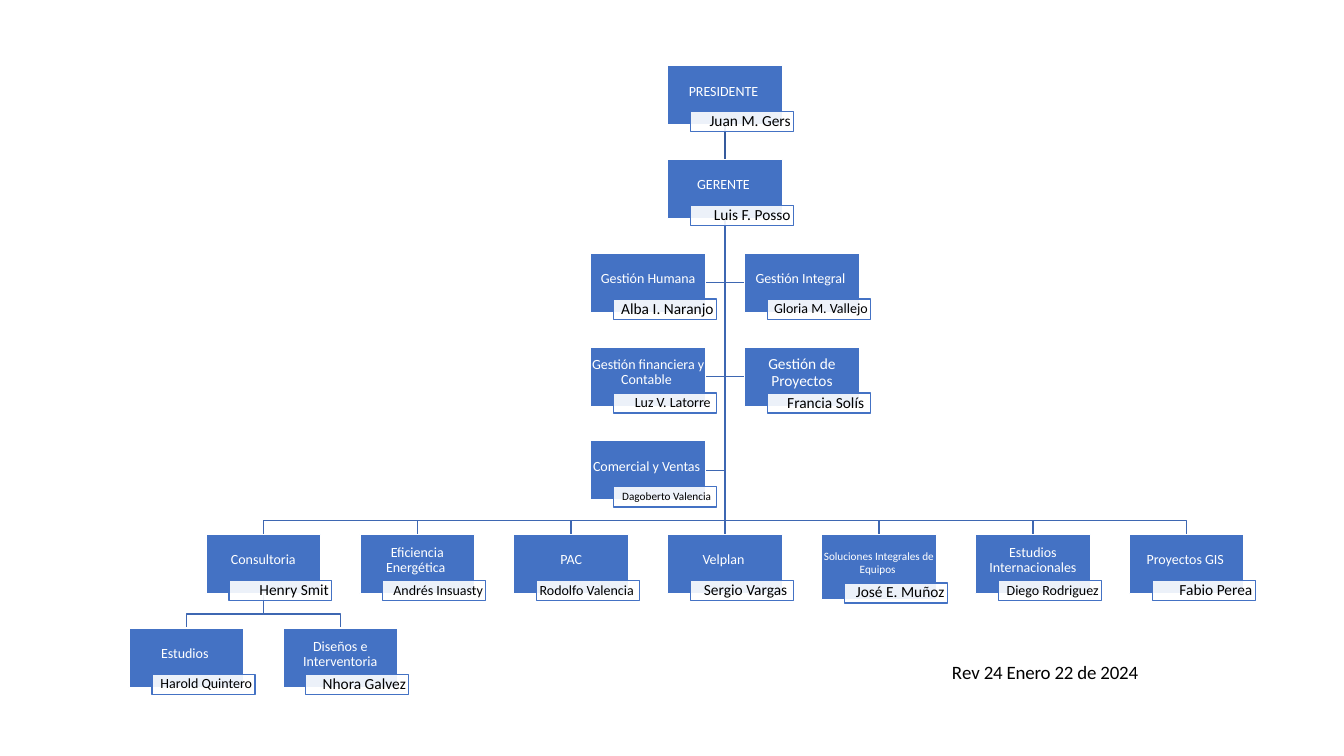
from lxml import etree
from pptx import Presentation
from pptx import util as u
from pptx.dml import color
from pptx.enum import shapes, text
from pptx.oxml import ns

# Chart grid, in points: columns count half steps from the centre line
CENTRE, HALF_STEP = 517.9, 54.97
TOP, ROW_STEP = 46.8, 66.97
BOX_W, BOX_H = 82, 42.5
NAME_DX, NAME_DY, NAME_W, NAME_H = 16.4, 33, 73.6, 14.4
BEND = 10  # height of the crossbar above a row


def rgb(value):
    return color.RGBColor.from_string(value)


def centre_x(column):
    return CENTRE + column * HALF_STEP


def row_top(row):
    return TOP + row * ROW_STEP


class OrgChart:
    font = "Calibri"
    blue, white, black = "4472C4", "FFFFFF", "000000"
    link, top_link = "3E67B2", "365B9D"

    def __init__(self, slide):
        self.shapes = slide.shapes

    def run(self, paragraph, words, size, ink, spacing=None):
        run = paragraph.add_run()
        run.text = words
        run.font.name, run.font.size = self.font, u.Pt(size)
        run.font.color.rgb = rgb(ink)
        if spacing is not None:
            run.font._element.set("spc", str(spacing))

    def frame(self, shape, insets):
        frame = shape.text_frame
        frame.word_wrap = True
        (frame.margin_left, frame.margin_top,
         frame.margin_right, frame.margin_bottom) = map(u.Pt, insets)
        return frame

    def rect(self, left, top, width, height, fill, line, words, size, ink, align, insets):
        rect = self.shapes.add_shape(shapes.MSO_SHAPE.RECTANGLE,
                                     *map(u.Pt, (left, top, width, height)))
        rect.shadow.inherit = False
        rect.fill.solid()
        rect.fill.fore_color.rgb = rgb(fill)
        rect.line.color.rgb, rect.line.width = rgb(line), u.Pt(1)
        frame = self.frame(rect, insets)
        frame.vertical_anchor = text.MSO_ANCHOR.MIDDLE
        paragraph = frame.paragraphs[0]
        paragraph.alignment, paragraph.line_spacing = align, 0.9
        paragraph.space_after = u.Pt(0.35 * size)
        self.run(paragraph, words, size, ink)
        return rect

    def post(self, column, row, title, title_size, name, name_size, grow=0, drop=0):
        """Blue post box with the holder's name tag over its lower edge."""
        left, top = centre_x(column) - BOX_W / 2, row_top(row)
        box = self.rect(left, top, BOX_W, BOX_H + grow, self.blue, self.white, title,
                        title_size, self.white, text.PP_ALIGN.CENTER, (0.7, 0.7, 0.7, 6))
        tag = self.rect(left + NAME_DX, top + NAME_DY + drop, NAME_W, NAME_H, self.white,
                        self.blue, name, name_size, self.black, text.PP_ALIGN.RIGHT,
                        (2, 0.5, 2, 0.5))
        tint = tag._element.spPr.find(ns.qn("a:solidFill"))[0]
        etree.SubElement(tint, ns.qn("a:alpha")).set("val", "90000")
        return box

    def bent_line(self, *points):
        start, *rest = [(u.Pt(x), u.Pt(y)) for x, y in points]
        builder = self.shapes.build_freeform(*start)
        builder.add_line_segments(rest, close=False)
        line = builder.convert_to_shape()
        line.shadow.inherit = False
        line.fill.background()
        line.line.color.rgb, line.line.width = rgb(self.link), u.Pt(1)

    def branch(self, parent, child, row):
        """Line from the foot of a parent post, along a crossbar, to a child post."""
        x, end, top = centre_x(parent), centre_x(child), row_top(row)
        self.bent_line((x, row_top(1 if parent == 0 else row - 1) + BOX_H),
                       (x, top - BEND), (end, top - BEND), (end, top))

    def side_branch(self, side, row):
        middle = row_top(row) + BOX_H / 2
        inner = centre_x(side) - side * BOX_W / 2
        self.bent_line((CENTRE, row_top(1) + BOX_H), (CENTRE, middle), (inner, middle))

    def straight(self, row, end_row, ink):
        line = self.shapes.add_connector(
            shapes.MSO_CONNECTOR.STRAIGHT,
            *map(u.Pt, (CENTRE, row_top(row) + BOX_H, CENTRE, row_top(end_row))))
        line.line.color.rgb, line.line.width = rgb(ink), u.Pt(1)
        etree.SubElement(line._element.spPr, ns.qn("a:effectLst"))
        return line

    def note(self, left, top, width, height, runs, size):
        box = self.shapes.add_textbox(*map(u.Pt, (left, top, width, height)))
        paragraph = self.frame(box, (0.9, 0, 0, 0)).paragraphs[0]
        for words, spacing in runs:
            self.run(paragraph, words, size, self.black, spacing)


# Posts: column, row, title, title size, name, name size, extra height, tag drop
POSTS = [
    (0, 0, "PRESIDENTE ", 10, "Juan M. Gers", 11),
    (0, 1, "GERENTE ", 10, "Luis F. Posso", 11),
    (-6, 5, "Consultoria", 10, "Henry Smit", 11),
    (-7, 6, "Estudios ", 10, "Harold Quintero", 10),
    (-5, 6, "Diseños e Interventoria", 10, "Nhora Galvez", 11),
    (-4, 5, "Eficiencia Energética ", 10, "Andrés Insuasty", 10),
    (-2, 5, "PAC", 10, "Rodolfo Valencia ", 10),
    (0, 5, "Velplan ", 10, "Sergio Vargas ", 11),
    (2, 5, "Soluciones Integrales de Equipos ", 8, "José E. Muñoz", 11, 4.3, 1.7),
    (4, 5, "Estudios Internacionales", 10, "Diego Rodriguez", 10),
    (6, 5, "Proyectos GIS ", 10, "Fabio Perea", 11),
    (-1, 2, "Gestión Humana", 10, "Alba I. Naranjo", 11),
    (1, 2, "Gestión Integral ", 10, "Gloria M. Vallejo", 10),
    (-1, 3, "Gestión financiera y Contable ", 10, "Luz V. Latorre ", 10),
    (1, 3, "Gestión de Proyectos", 11, "Francia Solís ", 11),
    (-1, 4, "Comercial y Ventas ", 10, "Dagoberto Valencia ", 8),
]


def main():
    deck = Presentation()
    deck.slide_width, deck.slide_height = u.Pt(960), u.Pt(540)
    chart = OrgChart(deck.slides.add_slide(deck.slide_layouts[6]))

    # Links, behind the posts
    for column, row, *_ in POSTS:
        if row in (2, 3, 4):
            chart.side_branch(column, row)
        elif row == 5 and column:
            chart.branch(0, column, row)
        elif row == 6:
            chart.branch(-6, column, row)
    manager_link = chart.straight(0, 1, chart.top_link)
    trunk = chart.straight(1, 5, chart.link)

    # Posts, then the straight links joined to them
    boxes = {post[:2]: chart.post(*post) for post in POSTS}
    for link, upper, lower in ((manager_link, 0, 1), (trunk, 1, 5)):
        link.begin_connect(boxes[0, upper], 2)
        link.end_connect(boxes[0, lower], 0)

    # Revision date
    chart.note(679, 471.6, 150, 12.2,
               [("R", -40), ("e", -20), ("v 24 Enero 22 de 2024", -10)], 13.5)

    deck.save("out.pptx")


if __name__ == "__main__":
    main()
